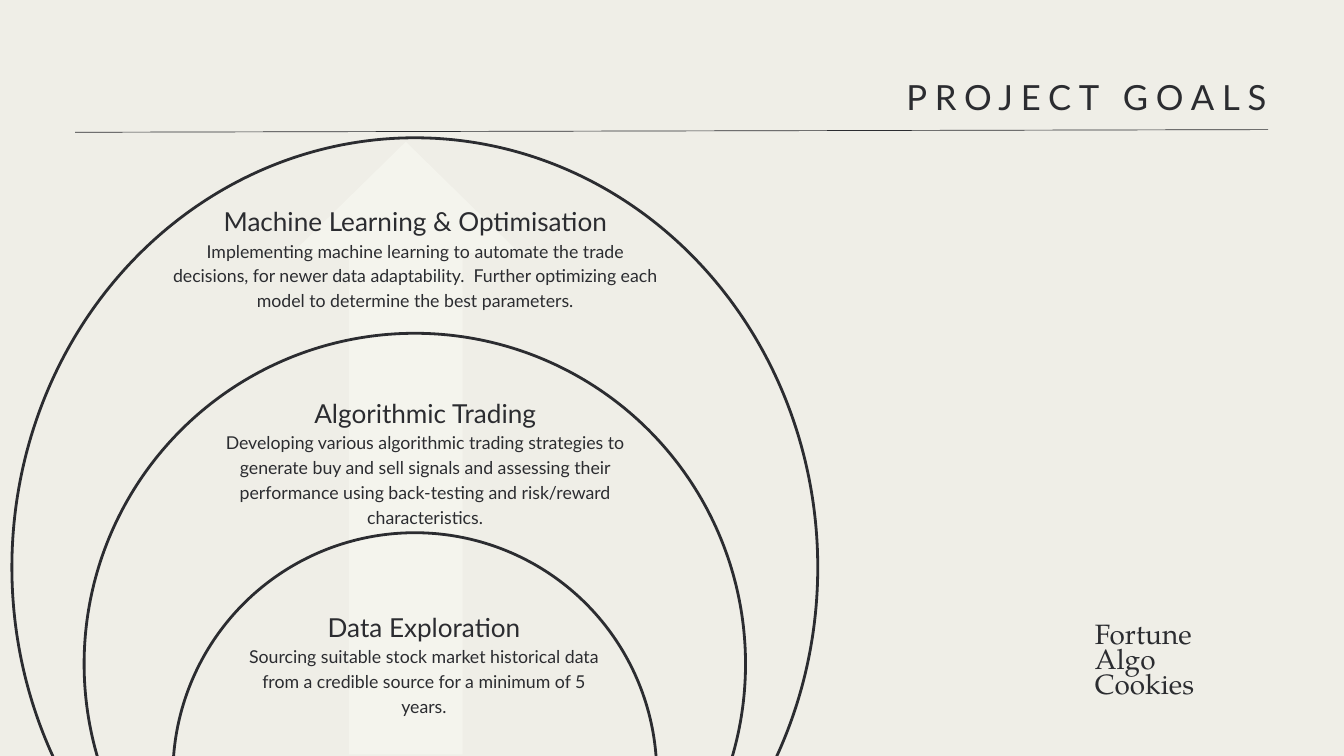
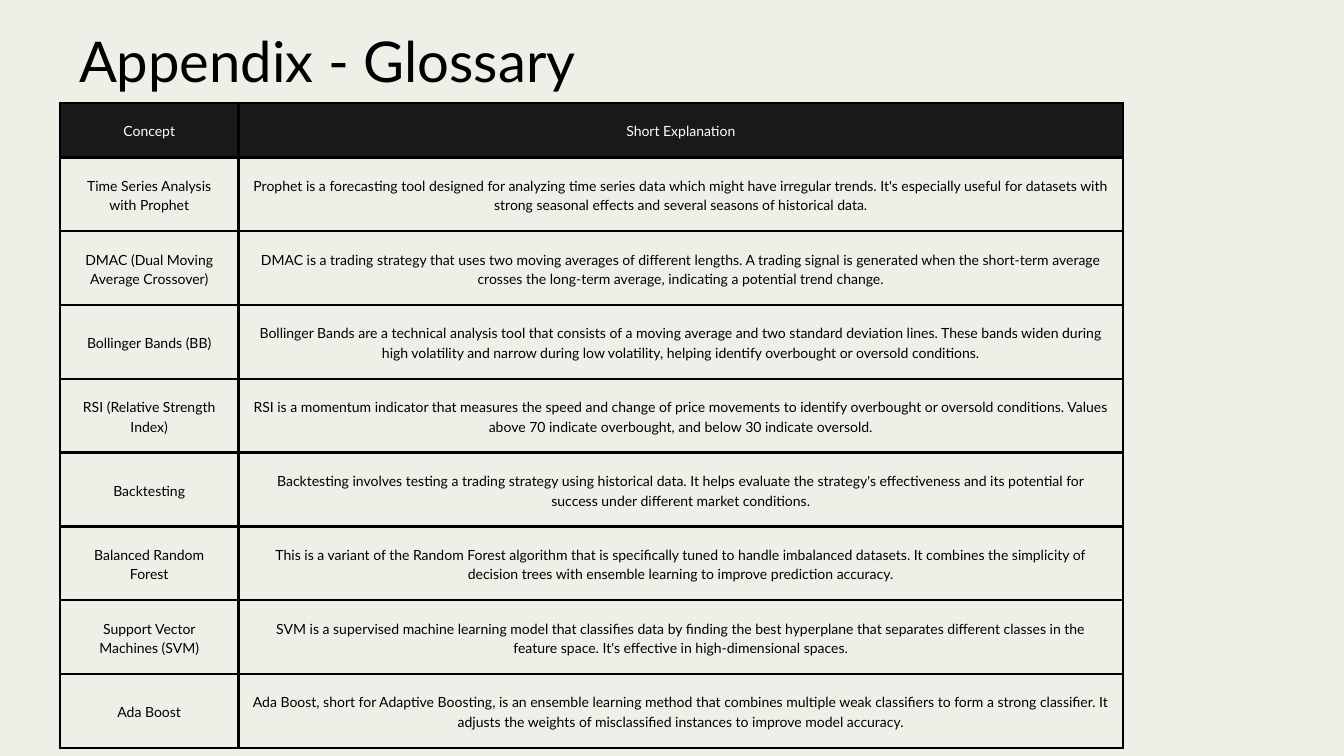
from lxml.etree import SubElement
from pptx import Presentation
from pptx.dml.color import RGBColor
from pptx.enum.shapes import MSO_CONNECTOR as Link, MSO_SHAPE as Kind
from pptx.enum.text import MSO_ANCHOR as Anchor, MSO_AUTO_SIZE as Fit, PP_ALIGN as Align
from pptx.oxml.ns import qn
from pptx.util import Cm, Pt

PAPER = RGBColor(0xEF, 0xEE, 0xE7)
PALE = RGBColor(0xF4, 0xF4, 0xED)
INK = RGBColor(0x2B, 0x2C, 0x30)
DARK = RGBColor(0x19, 0x19, 0x19)
BLACK = RGBColor(0, 0, 0)
WHITE = RGBColor(255, 255, 255)
SANS = "Lato"
SERIF = "TeX Gyre Pagella"

AXIS = 15.68
RINGS = [(5.21, 30.46, 32.48), (12.6, 25, 25), (20.14, 18.29, 18.29)]
GOALS = [
    ("Machine Learning & Optimisation",
     "Implementing machine learning to automate the trade decisions, for newer data adaptability.  "
     "Further optimizing each model to determine the best parameters.",
     (6.32, 7.57, 18.75, 4.19)),
    ("Algorithmic Trading",
     "Developing various algorithmic trading strategies to generate buy and sell signals and "
     "assessing their performance using back-testing and risk/reward characteristics.",
     (8.26, 14.81, 15.62, 5.16)),
    ("Data Exploration",
     "Sourcing suitable stock market historical data from a credible source for a minimum of 5 years.",
     (8.99, 22.91, 14.07, 5.16)),
]
TERMS = [
    ("Concept", "Short Explanation"),
    ("Time Series Analysis with Prophet",
     "Prophet is a forecasting tool designed for analyzing time series data which might have "
     "irregular trends. It's especially useful for datasets with strong seasonal effects and "
     "several seasons of historical data."),
    ("DMAC (Dual Moving Average Crossover)",
     "DMAC is a trading strategy that uses two moving averages of different lengths. A trading "
     "signal is generated when the short-term average crosses the long-term average, indicating "
     "a potential trend change."),
    ("Bollinger Bands (BB)",
     "Bollinger Bands are a technical analysis tool that consists of a moving average and two "
     "standard deviation lines. These bands widen during high volatility and narrow during low "
     "volatility, helping identify overbought or oversold conditions."),
    ("RSI (Relative Strength Index)",
     "RSI is a momentum indicator that measures the speed and change of price movements to "
     "identify overbought or oversold conditions. Values above 70 indicate overbought, and below "
     "30 indicate oversold."),
    ("Backtesting",
     "Backtesting involves testing a trading strategy using historical data. It helps evaluate "
     "the strategy's effectiveness and its potential for success under different market conditions."),
    ("Balanced Random Forest",
     "This is a variant of the Random Forest algorithm that is specifically tuned to handle "
     "imbalanced datasets. It combines the simplicity of decision trees with ensemble learning "
     "to improve prediction accuracy."),
    ("Support Vector Machines (SVM)",
     "SVM is a supervised machine learning model that classifies data by finding the best "
     "hyperplane that separates different classes in the feature space. It's effective in "
     "high-dimensional spaces."),
    ("Ada Boost",
     "Ada Boost, short for Adaptive Boosting, is an ensemble learning method that combines "
     "multiple weak classifiers to form a strong classifier. It adjusts the weights of "
     "misclassified instances to improve model accuracy."),
]


def style(par, size, lead, align=Align.CENTER, color=INK, face=SANS, track=0):
    par.alignment = align
    par.line_spacing = Pt(lead)
    par.space_before = par.space_after = Pt(0)
    font = par.font
    font.name, font.size = face, Pt(size)
    font.color.rgb = color
    if track:
        for run in par.runs:
            run._r.get_or_add_rPr().set("spc", str(track))


def fill_box(shape, rows):
    frame = shape.text_frame
    frame.word_wrap = True
    frame.auto_size = Fit.NONE
    frame.vertical_anchor = Anchor.TOP
    frame.margin_left = frame.margin_right = frame.margin_top = frame.margin_bottom = 0
    frame.text = "\n".join(text for text, _ in rows)
    for par, (_, look) in zip(frame.paragraphs, rows):
        style(par, **look)


def add_text(slide, box, *rows):
    fill_box(slide.shapes.add_textbox(*map(Cm, box)), rows)


def add_slide(deck, title, box, **look):
    slide = deck.slides.add_slide(deck.slide_layouts[5])
    head = slide.shapes.title
    head.left, head.top, head.width, head.height = map(Cm, box)
    fill_box(head, [(title, look)])
    return slide


def add_form(slide, kind, box, fill=None, line=None):
    form = slide.shapes.add_shape(kind, *map(Cm, box))
    form.shadow.inherit = False
    if fill:
        form.fill.solid()
        form.fill.fore_color.rgb = fill
    else:
        form.fill.background()
    if line:
        form.line.color.rgb = line
        form.line.width = Pt(3)
    else:
        form.line.fill.background()
    return form


def add_edges(cell):
    props = cell._tc.get_or_add_tcPr()
    for side in ("lnL", "lnR", "lnT", "lnB"):
        edge = SubElement(props, qn("a:" + side), w=str(Pt(3)))
        paint = SubElement(edge, qn("a:solidFill"))
        SubElement(paint, qn("a:srgbClr"), val=str(BLACK))


def build_goals(deck):
    slide = add_slide(deck, "PROJECT GOALS", (2.79, 2.62, 45.09, 1.7),
                      size=37.1, lead=52, align=Align.RIGHT, track=840)
    rule = slide.shapes.add_connector(Link.STRAIGHT, Cm(2.84), Cm(5), Cm(47.93), Cm(4.9))
    rule.line.color.rgb = INK
    rule.line.width = Pt(0.75)
    SubElement(rule._element.spPr, qn("a:effectLst"))
    arrow = add_form(slide, Kind.UP_ARROW, (11.05, 5.36, 8.58, 23.16), fill=PALE)
    arrow.adjustments[0], arrow.adjustments[1] = 0.5, 0.49
    for top, wide, high in RINGS:
        add_form(slide, Kind.OVAL, (AXIS - wide / 2, top, wide, high), line=INK)
    for name, text, box in GOALS:
        add_text(slide, box, (name, dict(size=28, lead=39.2)), (text, dict(size=19, lead=26.6)))
    add_text(slide, (41.38, 23.6, 4.67, 2.95),
             ("Fortune Algo Cookies",
              dict(size=29.9, lead=27.2, align=Align.LEFT, face=SERIF, track=10)))


def build_terms(deck):
    slide = add_slide(deck, "Appendix - Glossary", (1.2, 0.56, 22.35, 2.87),
                      size=60.2, lead=84.3, color=BLACK)
    wide, high = (6.76, 33.43), [2.06] + [2.79] * (len(TERMS) - 1)
    table = slide.shapes.add_table(len(TERMS), 2, Cm(2.26), Cm(3.89),
                                   Cm(sum(wide)), Cm(sum(high))).table
    table.first_row = table.horz_banding = False
    for col, size in zip(table.columns, wide):
        col.width = Cm(size)
    for i, (row, size) in enumerate(zip(table.rows, high)):
        row.height = Cm(size)
        for cell, text in zip(row.cells, TERMS[i]):
            cell.text = text
            cell.vertical_anchor = Anchor.MIDDLE
            cell.margin_left = cell.margin_right = cell.margin_top = cell.margin_bottom = Cm(0.53)
            style(cell.text_frame.paragraphs[0], 15, 21, color=BLACK if i else WHITE)
            add_edges(cell)
            if i:
                cell.fill.background()
            else:
                cell.fill.solid()
                cell.fill.fore_color.rgb = DARK


def main():
    deck = Presentation()
    deck.slide_width, deck.slide_height = Cm(50.8), Cm(28.58)
    back = deck.slide_master.background.fill
    back.solid()
    back.fore_color.rgb = PAPER
    build_goals(deck)
    build_terms(deck)
    deck.save("out.pptx")


if __name__ == "__main__":
    main()
